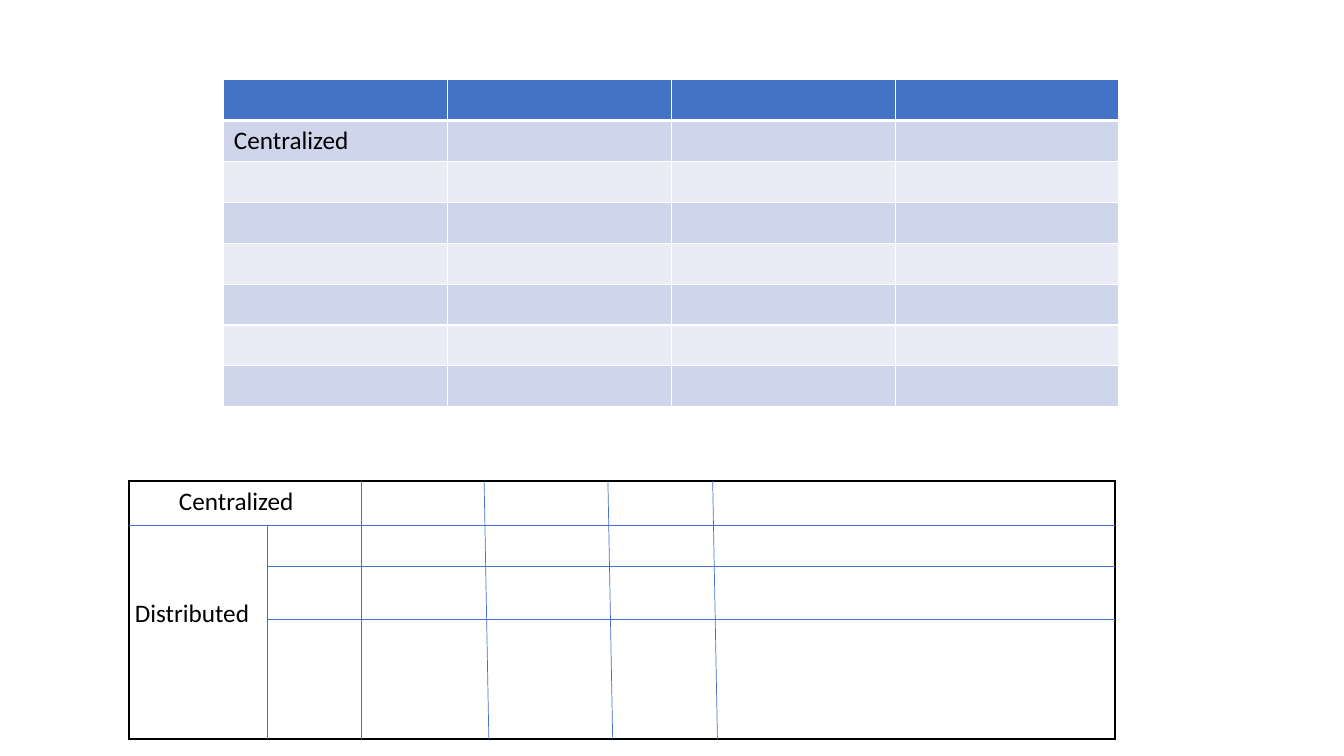
from dataclasses import dataclass

from lxml.etree import SubElement
from pptx import Presentation
from pptx.dml.color import RGBColor
from pptx.enum.shapes import MSO_CONNECTOR as Connector
from pptx.enum.text import MSO_AUTO_SIZE as AutoSize
from pptx.oxml import parse_xml
from pptx.oxml.ns import nsdecls, qn
from pptx.util import Cm, Pt

COLORS = {"header": "4472C4", "odd": "CFD5EA", "even": "E9EBF5",
          "white": "FFFFFF", "black": "000000", "rule": "4472C4"}
FONT = {"name": "Calibri", "size": Pt(18), "bold": False}


@dataclass(frozen=True)
class Grid:
    left: float
    top: float
    column_width: float
    row_height: float
    rows: int
    columns: int

    @property
    def right(self) -> float:
        return self.left + self.columns * self.column_width

    @property
    def bottom(self) -> float:
        return self.top + self.rows * self.row_height


@dataclass(frozen=True)
class Rule:
    x1: float
    y1: float
    x2: float
    y2: float


def color(name: str) -> RGBColor:
    return RGBColor.from_string(COLORS[name])


def write(frame, text: str) -> None:
    run = frame.paragraphs[0].add_run()
    run.text = text
    for key, value in FONT.items():
        setattr(run.font, key, value)
    run.font.color.rgb = color("black")


def set_borders(cell, name: str, bottom: float = 1, top: float = 1) -> None:
    properties = cell._tc.get_or_add_tcPr()
    widths = {"lnL": 1, "lnR": 1, "lnT": top, "lnB": bottom}
    for position, (tag, width) in enumerate(widths.items()):
        properties.insert(position, parse_xml(
            f'<a:{tag} {nsdecls("a")} w="{Pt(width)}"><a:solidFill>'
            f'<a:srgbClr val="{COLORS[name]}"/></a:solidFill></a:{tag}>'))


def add_grid(slide, grid: Grid):
    table = slide.shapes.add_table(
        grid.rows, grid.columns, Cm(grid.left), Cm(grid.top),
        Cm(grid.right - grid.left), Cm(grid.bottom - grid.top)).table
    table.first_row = table.horz_banding = False
    for column in table.columns:
        column.width = Cm(grid.column_width)
    for row in table.rows:
        row.height = Cm(grid.row_height)
    return table


def add_rule(slide, rule: Rule) -> None:
    line = slide.shapes.add_connector(
        Connector.STRAIGHT, Cm(rule.x1), Cm(rule.y1), Cm(rule.x2), Cm(rule.y2))
    line.line.color.rgb = color("rule")
    line.line.width = Pt(0.5)
    SubElement(line._element.spPr, qn("a:effectLst"))


def add_banded_table(slide, grid: Grid) -> None:
    table = add_grid(slide, grid)
    for index, row in enumerate(table.rows):
        band = "header" if index == 0 else "odd" if index % 2 else "even"
        for cell in row.cells:
            cell.fill.solid()
            cell.fill.fore_color.rgb = color(band)
            set_borders(cell, "white", bottom=3 if index == 0 else 1,
                        top=3 if index == 1 else 1)
    write(table.cell(1, 0).text_frame, "Centralized")


def add_ruled_frame(slide, frame: Grid) -> None:
    cell = add_grid(slide, frame).cell(0, 0)
    cell.fill.background()
    set_borders(cell, "black")
    cell.margin_left = Cm(1.26)
    write(cell.text_frame, "Centralized")

    # Dividers inside the frame
    header_bottom, label_right, slant = 13.23, 6.73, 0.12
    rules = [Rule(9.1, frame.top, 9.1, frame.bottom),
             Rule(frame.left, header_bottom, frame.right, header_bottom),
             Rule(label_right, header_bottom, label_right, frame.bottom)]
    rules += [Rule(x, frame.top, x + slant, frame.bottom)
              for x in (12.2, 15.32, 17.96)]
    rules += [Rule(label_right, y, frame.right, y) for y in (14.26, 15.61)]
    for rule in rules:
        add_rule(slide, rule)

    # Row label
    label = slide.shapes.add_textbox(Cm(3.15), Cm(14.92), Cm(3.43), Cm(1.03))
    label.text_frame.word_wrap = False
    label.text_frame.auto_size = AutoSize.SHAPE_TO_FIT_TEXT
    write(label.text_frame, "Distributed")


def main() -> None:
    presentation = Presentation()
    presentation.slide_width = Cm(33.87)
    presentation.slide_height = Cm(19.05)
    slide = presentation.slides.add_slide(presentation.slide_layouts[6])
    add_banded_table(slide, Grid(5.64, 2.01, 5.64, 1.03, 8, 4))
    add_ruled_frame(slide, Grid(3.25, 12.12, 24.85, 6.5, 1, 1))
    presentation.save("out.pptx")


if __name__ == "__main__":
    main()
